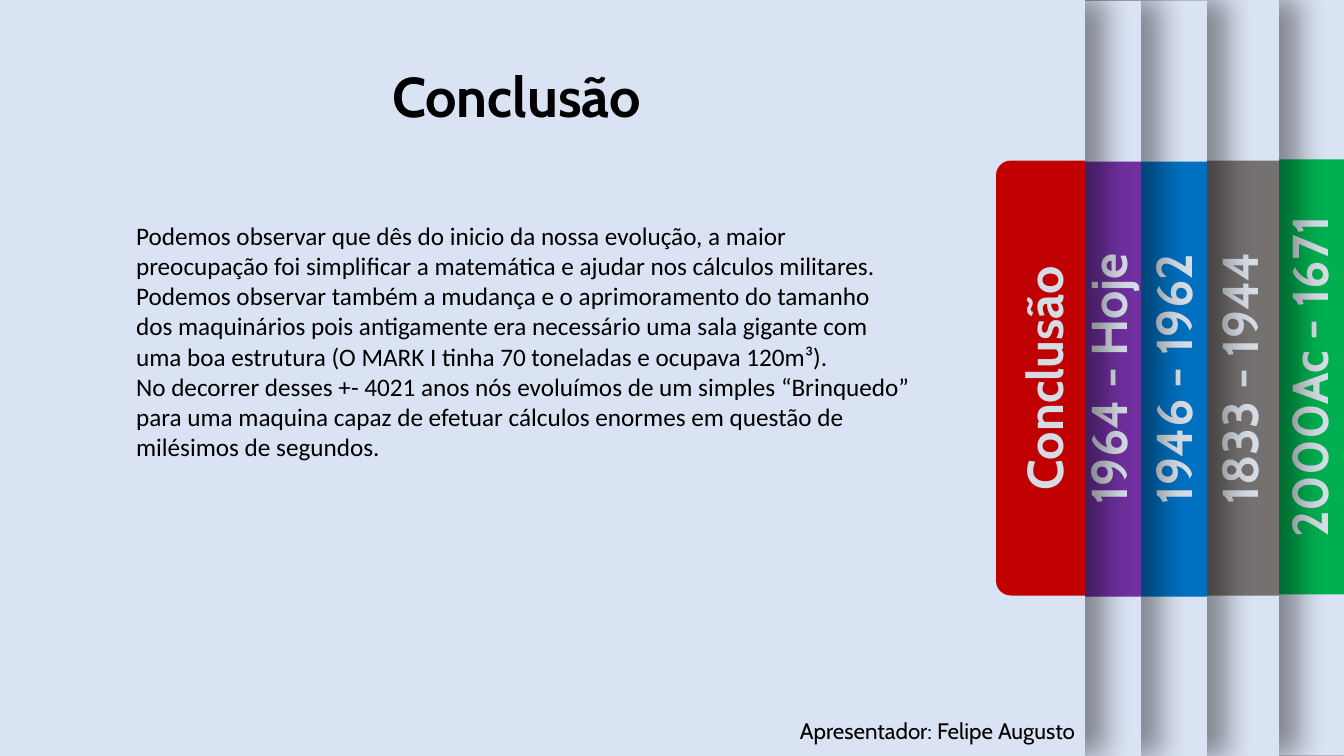
from collections import namedtuple
from dataclasses import dataclass

from lxml import etree
from pptx import Presentation
from pptx import util as u
from pptx.dml.color import RGBColor
from pptx.enum import shapes, text
from pptx.oxml import ns

PAGE_WIDTH, PAGE_HEIGHT = 1344, 756
Box = namedtuple("Box", "left top width height")
Sheet = namedtuple("Sheet", "label color right top label_inset label_width")


@dataclass(frozen=True)
class Theme:
    paper: str = "DAE3F3"
    ink: str = "000000"
    tab_text: str = "D6DCE5"
    heading_font: str = "Cabin"
    body_font: str = "Calibri"
    title_size: int = 40
    tab_size: int = 36
    body_size: int = 18
    credit_size: int = 16


THEME = Theme()

# Back to front; label_inset runs from the sheet's right edge to the label's centre
SHEETS = [
    Sheet("2000Ac - 1671", "00B050", 1344, -1, 35, 345),
    Sheet("1833 - 1944", "767171", 1279, 0, 40, 329),
    Sheet("1946 - 1962", "0070C0", 1207, 1, 34, 329),
    Sheet("1964 - Hoje", "7030A0", 1141, 1, 33, 329),
    Sheet("Conclusão", "C00000", 1085, 0, 41, 329),
]
TAB_LENGTH, TAB_DEPTH, LABEL_DEPTH = 435, 89, 72

CONCLUSION = (
    "Podemos observar que dês do inicio da nossa evolução, a maior preocupação foi "
    "simplificar a matemática e ajudar nos cálculos militares.\v"
    "Podemos observar também a mudança e o aprimoramento do tamanho dos maquinários "
    "pois antigamente era necessário uma sala gigante com uma boa estrutura "
    "(O MARK I tinha 70 toneladas e ocupava 120m³).\n"
    "No decorrer desses +- 4021 anos nós evoluímos de um simples “Brinquedo” para uma "
    "maquina capaz de efetuar cálculos enormes em questão de milésimos de segundos."
)


def px(length):
    return u.Emu(round(length * 914400 / 100.8))


def scaled(box):
    return [px(length) for length in box]


def centred(center_x, center_y, width, height):
    return Box(center_x - width / 2, center_y - height / 2, width, height)


def write(shape, words, font, size, color, bold=False, align=text.PP_ALIGN.LEFT):
    frame = shape.text_frame
    frame.text = words
    frame.word_wrap = True
    frame.auto_size = text.MSO_AUTO_SIZE.NONE
    frame.vertical_anchor = text.MSO_ANCHOR.TOP
    for para in frame.paragraphs:
        para.alignment = align
        para.space_before = u.Pt(0)
        for span in para.runs:
            span.font.name = font
            span.font.size = u.Pt(size)
            span.font.bold = bold
            span.font.color.rgb = RGBColor.from_string(color)


def add_block(parent, kind, box, color):
    block = parent.shapes.add_shape(kind, *scaled(box))
    block.shadow.inherit = False
    block.fill.solid()
    block.fill.fore_color.rgb = RGBColor.from_string(color)
    block.line.fill.background()
    return block


def cast_shadow(shape):
    effects = shape.element.spPr.find(ns.qn("a:effectLst"))
    shadow = etree.SubElement(effects, ns.qn("a:outerShdw"), blurRad=str(u.Pt(20)),
                              dist=str(u.Pt(15)), dir="0", algn="l", rotWithShape="0")
    color = etree.SubElement(shadow, ns.qn("a:srgbClr"), val=THEME.ink)
    etree.SubElement(color, ns.qn("a:alpha"), val="40000")


def add_sheet(page, sheet, box):
    """A page-sized sheet with a vertical tab at its right edge."""
    group = page.shapes.add_group_shape()
    right, middle = box.left + box.width, box.top + box.height / 2
    cast_shadow(add_block(group, shapes.MSO_SHAPE.RECTANGLE, box, THEME.paper))

    tab_box = centred(right - TAB_DEPTH / 2, middle, TAB_LENGTH, TAB_DEPTH)
    tab = add_block(group, shapes.MSO_SHAPE.ROUND_2_SAME_RECTANGLE, tab_box, sheet.color)
    label_box = centred(right - sheet.label_inset, middle, sheet.label_width, LABEL_DEPTH)
    label = group.shapes.add_textbox(*scaled(label_box))
    write(label, sheet.label, THEME.heading_font, THEME.tab_size, THEME.tab_text,
          bold=True, align=text.PP_ALIGN.CENTER)
    tab.rotation = label.rotation = 270


def place(placeholder, box):
    """Move a placeholder into its box, in front of the sheets."""
    placeholder.left, placeholder.top, placeholder.width, placeholder.height = scaled(box)
    placeholder.element.getparent().append(placeholder.element)


def add_title(page, box):
    title = page.shapes.title
    place(title, box)
    write(title, "Conclusão", THEME.heading_font, THEME.title_size, THEME.ink, bold=True)


def add_body(page, box):
    body = page.placeholders[1]
    place(body, box)
    write(body, CONCLUSION, THEME.body_font, THEME.body_size, THEME.ink)
    # Plain paragraphs without bullets
    for para in body.text_frame.paragraphs:
        properties = para._p.get_or_add_pPr()
        properties.set("marL", "0")
        properties.set("indent", "0")
        etree.SubElement(properties, ns.qn("a:buNone"))


def add_credit(page, box):
    credit = page.shapes.add_textbox(*scaled(box))
    write(credit, "Apresentador: Felipe Augusto", THEME.heading_font,
          THEME.credit_size, THEME.ink)


def main():
    deck = Presentation()
    deck.slide_width, deck.slide_height = px(PAGE_WIDTH), px(PAGE_HEIGHT)
    page = deck.slides.add_slide(deck.slide_layouts[1])
    page.background.fill.solid()
    page.background.fill.fore_color.rgb = RGBColor.from_string(THEME.paper)

    # Stacked sheets
    for sheet in SHEETS:
        box = Box(sheet.right - PAGE_WIDTH, sheet.top, PAGE_WIDTH, PAGE_HEIGHT)
        add_sheet(page, sheet, box)

    # Content of the front sheet
    add_title(page, Box(382, 56, 681, 78))
    add_body(page, Box(126, 215, 795, 254))
    add_credit(page, Box(790, 712, 375, 37))
    deck.save("out.pptx")


if __name__ == "__main__":
    main()
